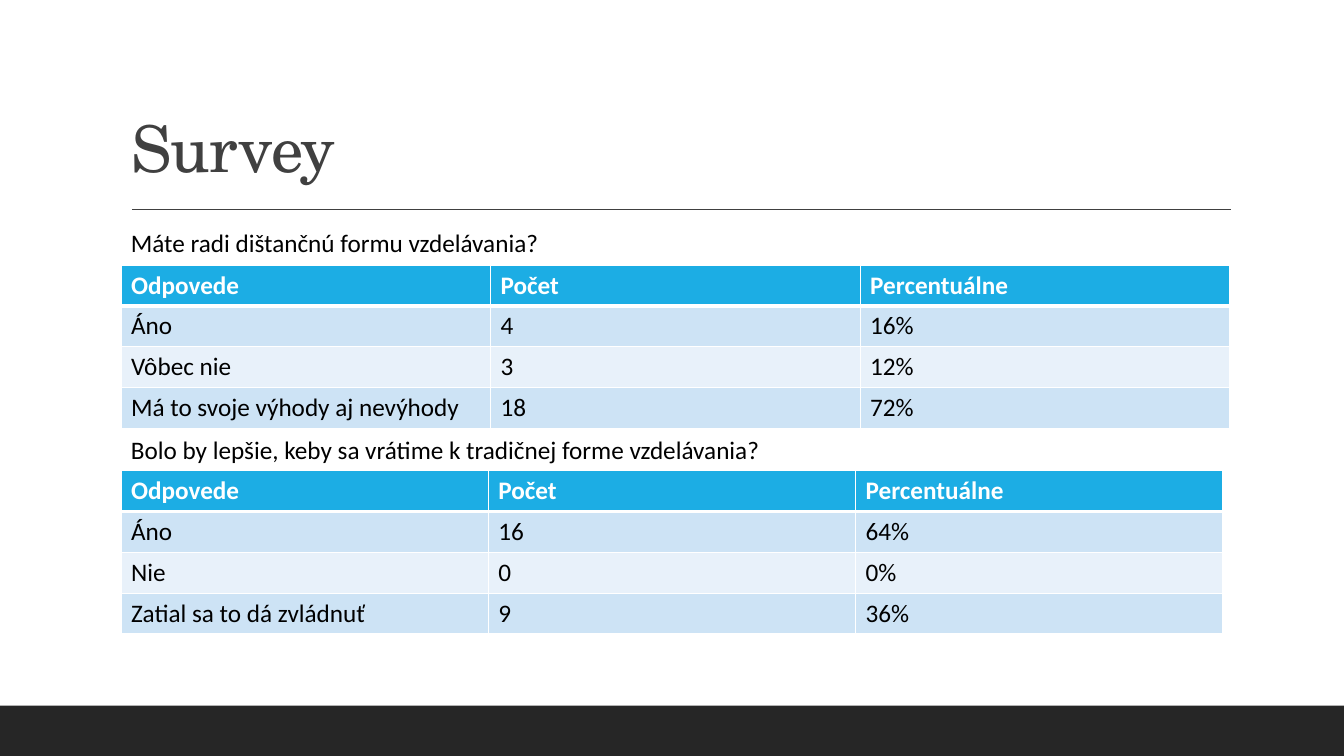
from lxml import etree
from pptx import Presentation, util as u
from pptx.dml.color import RGBColor
from pptx.enum import shapes, text
from pptx.oxml import ns


def colour(hex_string):
    return RGBColor.from_string(hex_string)


class SurveySlide:
    """Places elements by percentages of the slide's width and height."""

    BODY_FONT, TITLE_FONT = "Calibri", "TeX Gyre Schola"
    BODY_SIZE, TITLE_SIZE = 18, 46
    BLACK, WHITE, GREY, FOOTER = "000000", "FFFFFF", "404040", "262626"
    HEADER, BANDS = "1CADE4", ("CDE3F5", "E8F1FA")
    ROW_HEIGHT = 5.4

    def __init__(self, presentation):
        self.width = presentation.slide_width
        self.height = presentation.slide_height
        self.slide = presentation.slides.add_slide(presentation.slide_layouts[5])

    def x(self, share):
        return u.Emu(round(self.width * share / 100))

    def y(self, share):
        return u.Emu(round(self.height * share / 100))

    def box(self, left, top, width, height):
        return self.x(left), self.y(top), self.x(width), self.y(height)

    def run(self, paragraph, words, size=BODY_SIZE, font=BODY_FONT, fill=BLACK, bold=False):
        run = paragraph.add_run()
        run.text = words
        run.font.size = u.Pt(size)
        run.font.name = font
        run.font.bold = bold
        run.font.color.rgb = colour(fill)
        return run

    def title(self, words, *place):
        shape = self.slide.shapes.title
        shape.left, shape.top, shape.width, shape.height = self.box(*place)
        frame = shape.text_frame
        frame.word_wrap = True
        frame.auto_size = text.MSO_AUTO_SIZE.NONE
        frame.vertical_anchor = text.MSO_ANCHOR.BOTTOM
        paragraph = frame.paragraphs[0]
        paragraph.alignment = text.PP_ALIGN.LEFT
        paragraph.line_spacing = 0.9
        run = self.run(paragraph, words, self.TITLE_SIZE, self.TITLE_FONT, self.GREY)
        run.font._element.set("spc", "-50")

    def bar(self, *place):
        shape = self.slide.shapes.add_shape(shapes.MSO_SHAPE.RECTANGLE, *self.box(*place))
        shape.shadow.inherit = False
        shape.fill.solid()
        shape.fill.fore_color.rgb = colour(self.FOOTER)
        shape.line.fill.background()

    def rule(self, start, end, top):
        line = self.slide.shapes.add_connector(
            shapes.MSO_CONNECTOR.STRAIGHT, self.x(start), self.y(top), self.x(end), self.y(top))
        line.line.color.rgb = colour(self.GREY)
        line.line.width = u.Pt(1)
        etree.SubElement(line._element.spPr, ns.qn("a:effectLst"))

    def question(self, words, *place):
        shape = self.slide.shapes.add_textbox(*self.box(*place))
        shape.text_frame.word_wrap = True
        shape.text_frame.auto_size = text.MSO_AUTO_SIZE.SHAPE_TO_FIT_TEXT
        self.run(shape.text_frame.paragraphs[0], words)

    def borders(self, cell, top, bottom):
        properties = cell._tc.get_or_add_tcPr()
        for side, points in (("L", 1), ("R", 1), ("T", top), ("B", bottom)):
            line = etree.SubElement(properties, ns.qn(f"a:ln{side}"), w=str(u.Pt(points)))
            fill = etree.SubElement(line, ns.qn("a:solidFill"))
            etree.SubElement(fill, ns.qn("a:srgbClr"), val=self.WHITE)

    def answers(self, rows, left, top, width):
        place = self.box(left, top, width, self.ROW_HEIGHT * len(rows))
        table = self.slide.shapes.add_table(len(rows), len(rows[0]), *place).table
        for row_index, row in enumerate(rows):
            header = row_index == 0
            table.rows[row_index].height = self.y(self.ROW_HEIGHT)
            for column_index, words in enumerate(row):
                cell = table.cell(row_index, column_index)
                self.borders(cell, 3 if row_index == 1 else 1, 3 if header else 1)
                cell.fill.solid()
                band = self.HEADER if header else self.BANDS[(row_index - 1) % 2]
                cell.fill.fore_color.rgb = colour(band)
                self.run(cell.text_frame.paragraphs[0], words,
                         fill=self.WHITE if header else self.BLACK, bold=header)


def main():
    presentation = Presentation()
    presentation.slide_width = u.Inches(13.333)
    presentation.slide_height = u.Inches(7.5)
    survey = SurveySlide(presentation)
    left, wide, narrow = 9, 82.5, 82
    heading = ("Odpovede", "Počet", "Percentuálne")

    # Frame and title
    survey.bar(0, 93.33, 100, 6.67)
    survey.rule(9.82, 91.58, 27.73)
    survey.title("Survey", left, 4.13, wide, 21.2)

    # First question
    survey.question("Máte radi dištančnú formu vzdelávania?", left, 29.47, narrow, 5.33)
    survey.answers([heading,
                    ("Áno", "4", "16%"),
                    ("Vôbec nie", "3", "12%"),
                    ("Má to svoje výhody aj nevýhody", "18", "72%")],
                   left, 35.07, wide)

    # Second question
    survey.question("Bolo by lepšie, keby sa vrátime k tradičnej forme vzdelávania?",
                    left, 56.8, wide, 5.33)
    survey.answers([heading,
                    ("Áno", "16", "64%"),
                    ("Nie", "0", "0%"),
                    ("Zatial sa to dá zvládnuť", "9", "36%")],
                   left, 62.27, narrow)

    presentation.save("out.pptx")


if __name__ == "__main__":
    main()
